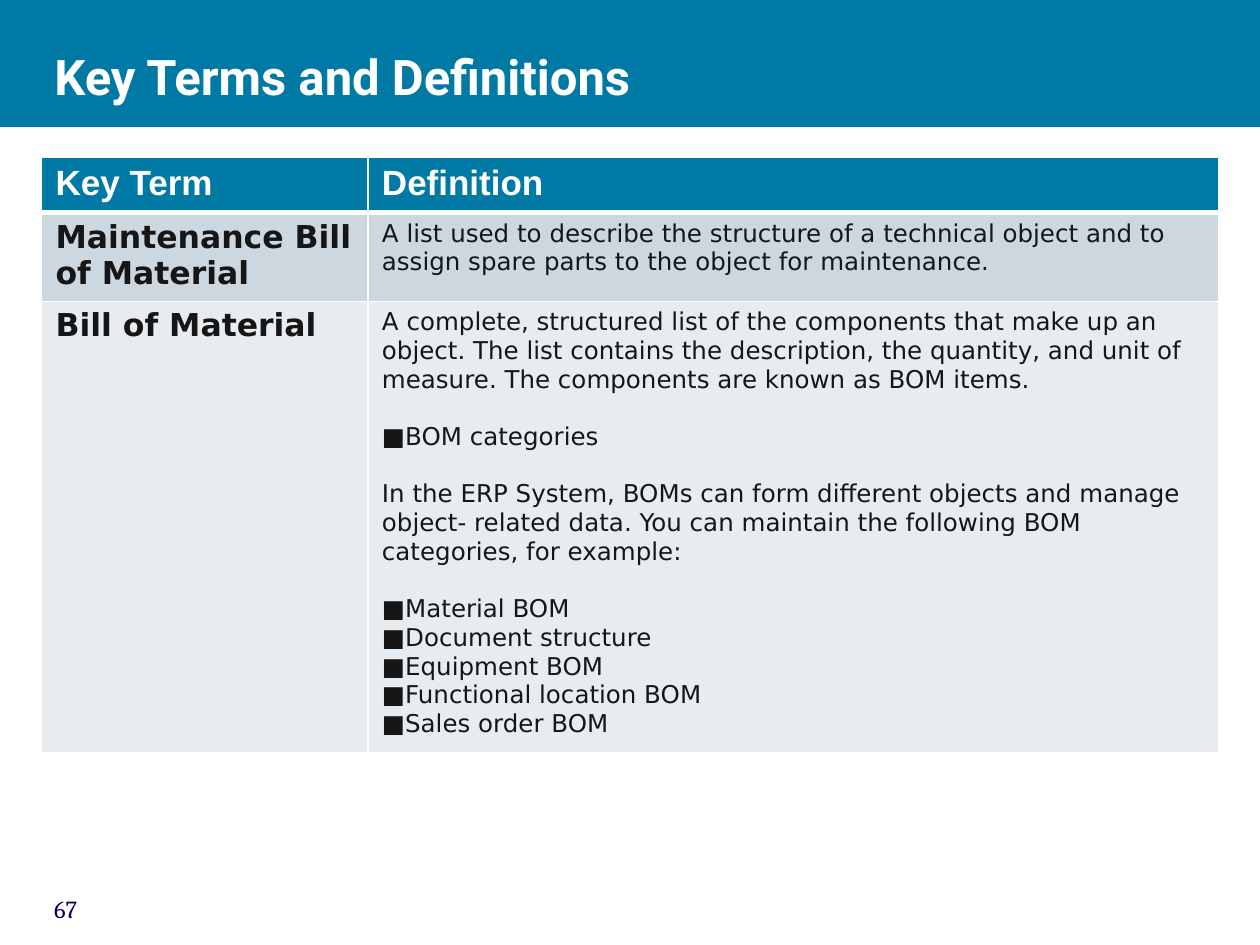
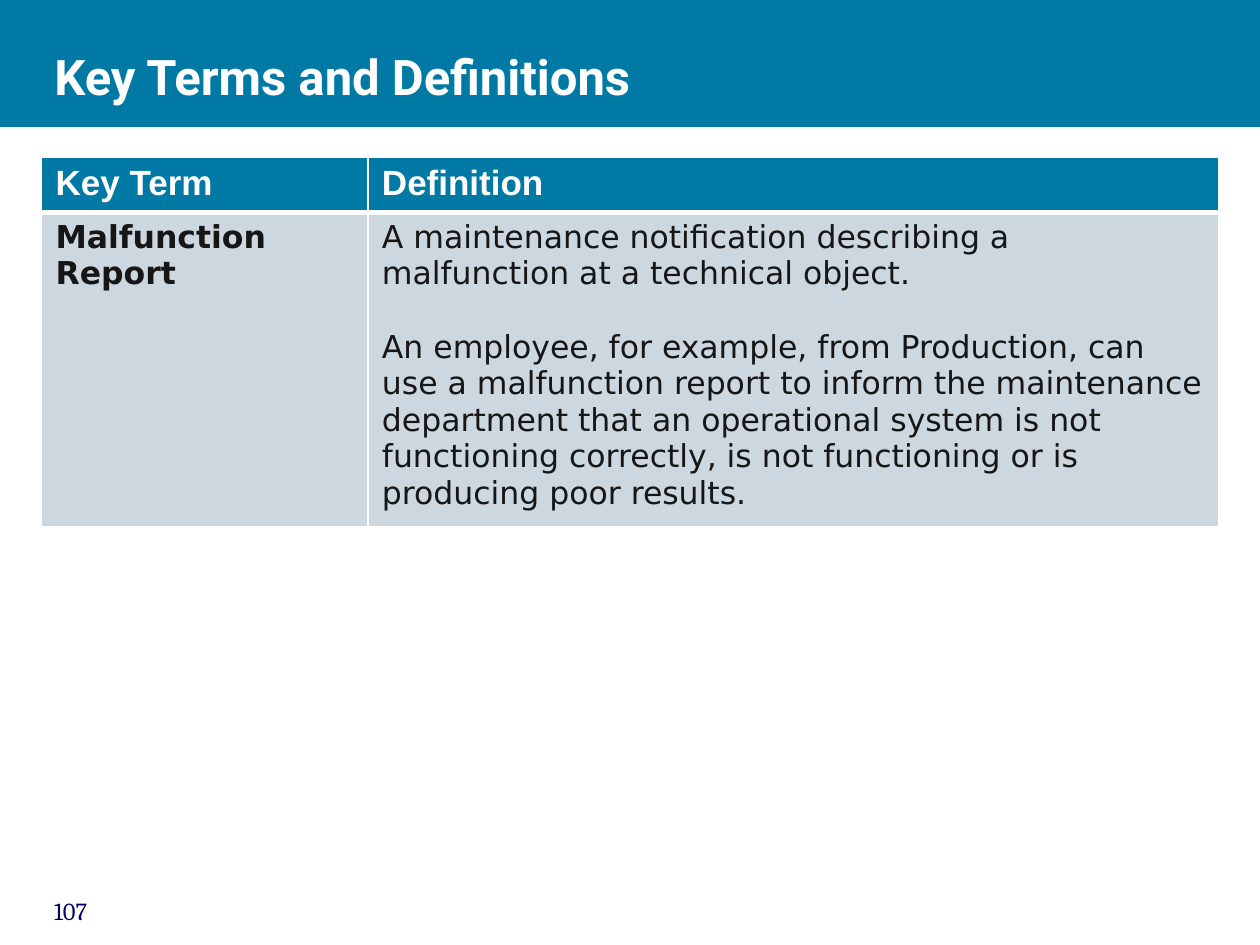
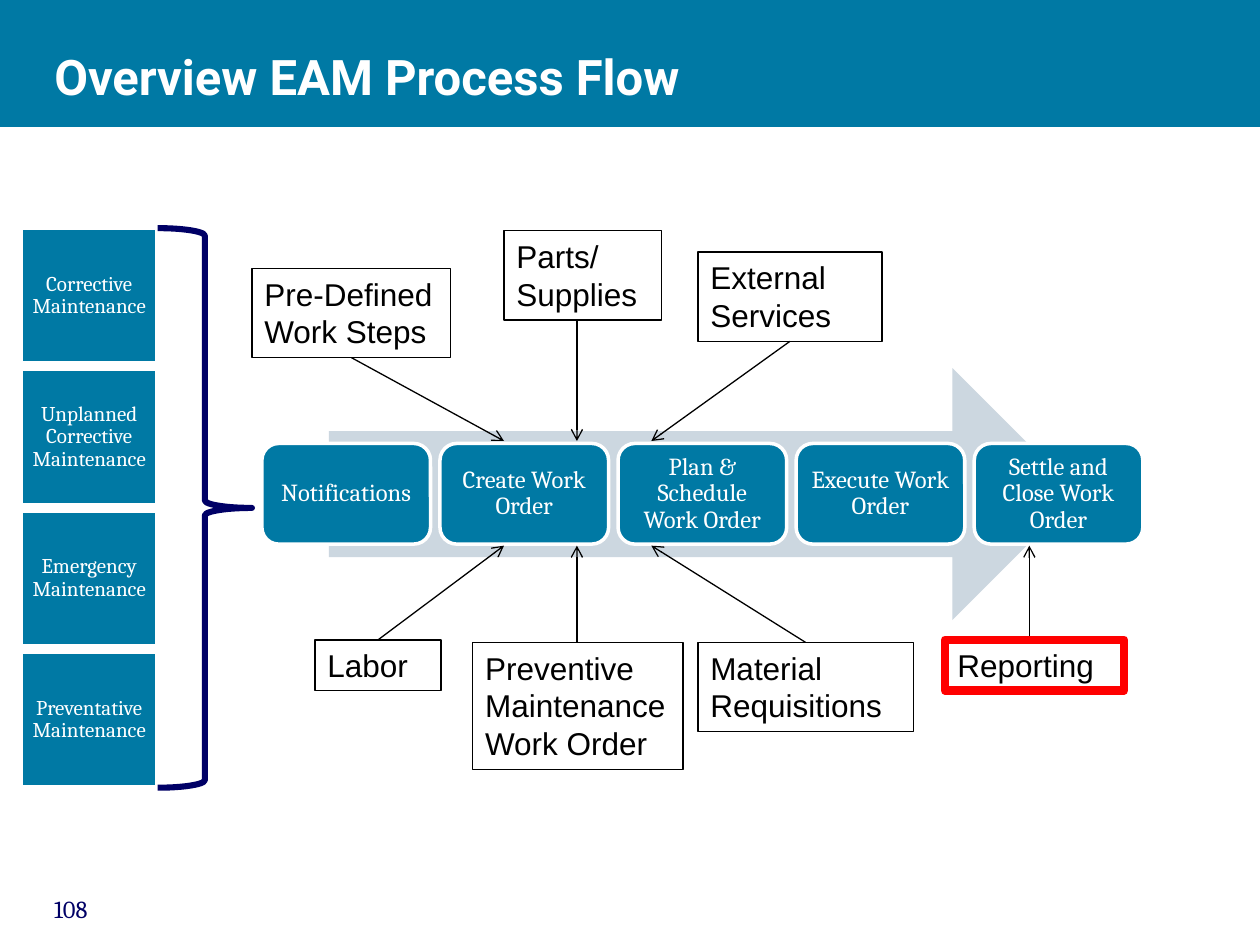
import dataclasses

import lxml.etree
import pptx
import pptx.dml.color
import pptx.enum.shapes
import pptx.enum.text
import pptx.oxml.ns
import pptx.util

Cm = pptx.util.Cm
Pt = pptx.util.Pt
qn = pptx.oxml.ns.qn
Kind = pptx.enum.shapes.MSO_SHAPE
Align = pptx.enum.text.PP_ALIGN
Anchor = pptx.enum.text.MSO_ANCHOR


@dataclasses.dataclass(frozen=True)
class Theme:
    blue: str = "0079A4"
    navy: str = "000066"
    white: str = "FFFFFF"
    black: str = "000000"
    red: str = "FF0000"
    ink: str = "161616"
    mist: str = "CCD7E0"
    pale: str = "E7ECF0"
    head: str = "Roboto"
    sans: str = "Arial"
    body: str = "DejaVu Sans"
    serif: str = "Cambria"
    title: int = 28
    label: int = 20
    large: int = 18
    text: int = 14
    small: int = 12


def rgb(code):
    return pptx.dml.color.RGBColor.from_string(code)


def style(para, face, size, color, bold=False):
    for run in para.runs:
        run.font.name = face
        run.font.size = Pt(size)
        run.font.color.rgb = rgb(color)
        run.font.bold = bold


def edge(cell, side, width, color):
    """Add one border; call before the cell fill is set."""
    line = lxml.etree.SubElement(cell._tc.get_or_add_tcPr(), qn("a:ln" + side), w=str(Pt(width)))
    fill = lxml.etree.SubElement(line, qn("a:solidFill"))
    lxml.etree.SubElement(fill, qn("a:srgbClr"), val=color)


class Deck:
    def __init__(self, theme):
        self.theme = theme
        self.file = pptx.Presentation()
        self.file.slide_width, self.file.slide_height = Cm(25.4), Cm(19.05)
        self.slide = None

    def page(self, title, number, top=17.3):
        """Start a slide with its band, title and page number."""
        t = self.theme
        self.slide = self.file.slides.add_slide(self.file.slide_layouts[5])
        band = self.shape(Kind.RECTANGLE, (0, 0, 25.4, 2.54), t.blue, t.blue, 0.75)
        self.slide.shapes.element.insert(2, band.element)

        head = self.slide.shapes.title
        head.left, head.top, head.width, head.height = map(Cm, (0.84, 0.64, 23.65, 1.78))
        frame = head.text_frame
        frame.text = title
        frame.auto_size = pptx.enum.text.MSO_AUTO_SIZE.NONE
        frame.vertical_anchor = Anchor.MIDDLE
        frame.paragraphs[0].alignment = Align.LEFT
        style(frame.paragraphs[0], t.head, t.title, t.white, True)

        foot = self.slide.shapes.add_textbox(*map(Cm, (0.84, top, 6.35, 1.5))).text_frame
        foot.word_wrap = True
        foot.margin_top, foot.margin_bottom = Cm(0.84), 0
        foot.text = str(number)
        style(foot.paragraphs[0], t.serif, t.text, t.navy)

    def shape(self, kind, place, fill=None, line=None, width=1):
        item = self.slide.shapes.add_shape(kind, *map(Cm, place))
        item.shadow.inherit = False
        if fill:
            item.fill.solid()
            item.fill.fore_color.rgb = rgb(fill)
        else:
            item.fill.background()
        if line:
            item.line.color.rgb = rgb(line)
            item.line.width = Pt(width)
        else:
            item.line.fill.background()
        return item

    def tile(self, kind, place, text, size, inset):
        t = self.theme
        frame = self.shape(kind, place, t.blue, t.white, 2).text_frame
        frame.word_wrap = True
        frame.vertical_anchor = Anchor.MIDDLE
        frame.margin_left = frame.margin_right = Cm(inset)
        frame.margin_top = frame.margin_bottom = Cm(inset)
        frame.text = text
        para = frame.paragraphs[0]
        para.alignment = Align.CENTER
        para.line_spacing = 0.9
        style(para, t.serif, size, t.white)

    def note(self, text, place, color, width):
        t = self.theme
        frame = self.shape(Kind.RECTANGLE, place, None, color, width).text_frame
        frame.word_wrap = True
        frame.vertical_anchor = Anchor.TOP
        frame.text = text
        frame.paragraphs[0].alignment = Align.LEFT
        style(frame.paragraphs[0], t.sans, t.large, t.black)

    def arrow(self, start, end):
        line = self.slide.shapes.add_connector(
            pptx.enum.shapes.MSO_CONNECTOR.STRAIGHT, *map(Cm, start + end))
        line.line.color.rgb = rgb(self.theme.black)
        line.line.width = Pt(0.75)
        lxml.etree.SubElement(line.line._get_or_add_ln(), qn("a:tailEnd"), type="arrow")
        lxml.etree.SubElement(line.element.spPr, qn("a:effectLst"))

    def cell(self, cell, blocks, fill, font, rims):
        """Fill a cell with blocks of lines, a line's gap between blocks."""
        cell.margin_left = cell.margin_right = Cm(0.28)
        cell.margin_top = cell.margin_bottom = Cm(0.13)
        for side, width in zip("LRTB", rims):
            edge(cell, side, width, self.theme.white)
        cell.fill.solid()
        cell.fill.fore_color.rgb = rgb(fill)
        frame = cell.text_frame
        frame.text = "\n".join(line for block in blocks for line in block)
        paras = iter(frame.paragraphs)
        for i, block in enumerate(blocks):
            for j in range(len(block)):
                para = next(paras)
                if i and not j:
                    para.space_before = Pt(round(1.164 * font[1], 1))
                style(para, *font)

    def terms(self, rows, size, heights):
        """Draw a table of key terms and their definitions."""
        t = self.theme
        heights = [1.03] + heights
        grid = self.slide.shapes.add_table(
            len(heights), 2, *map(Cm, (0.84, 3.18, 23.72, sum(heights)))).table
        for col, width in zip(grid.columns, (6.58, 17.14)):
            col.width = Cm(width)
        for row, height in zip(grid.rows, heights):
            row.height = Cm(height)
        for col, text in enumerate(("Key Term", "Definition")):
            self.cell(grid.cell(0, col), [[text]], t.blue,
                      (t.sans, t.label, t.white, True), (1, 1, 1, 3))
        for i, (term, blocks) in enumerate(rows, 1):
            fill = t.mist if i % 2 else t.pale
            rims = (1, 1, 3 if i == 1 else 1, 1)
            self.cell(grid.cell(i, 0), [[term]], fill, (t.body, t.large, t.ink, True), rims)
            self.cell(grid.cell(i, 1), blocks, fill, (t.body, size, t.ink), rims)


BOMS = [
    ("Maintenance Bill of Material", [[
        "A list used to describe the structure of a technical object and to assign "
        "spare parts to the object for maintenance."]]),
    ("Bill of Material", [
        ["A complete, structured list of the components that make up an object. The list "
         "contains the description, the quantity, and unit of measure. The components are "
         "known as BOM items."],
        ["■BOM categories"],
        ["In the ERP System, BOMs can form different objects and manage object- related "
         "data. You can maintain the following BOM categories, for example:"],
        ["■Material BOM", "■Document structure", "■Equipment BOM",
         "■Functional location BOM", "■Sales order BOM"]]),
]
FAULTS = [
    ("Malfunction Report", [
        ["A maintenance notification describing a malfunction at a technical object."],
        ["An employee, for example, from Production, can use a malfunction report to inform "
         "the maintenance department that an operational system is not functioning "
         "correctly, is not functioning or is producing poor results."]]),
]
STEPS = ["Notifications", "Create Work Order", "Plan & Schedule Work Order",
         "Execute Work Order", "Settle and Close Work Order"]
KINDS = ["Corrective Maintenance", "Unplanned Corrective Maintenance",
         "Emergency Maintenance", "Preventative Maintenance"]
# Text, place, and where its arrow meets the row of steps
NOTES = [
    ("Pre-Defined Work Steps", (5.08, 5.41, 4.01, 1.8), 10.16),
    ("Parts/ Supplies", (10.16, 4.65, 3.18, 1.8), 11.63),
    ("External Services", (14.07, 5.08, 3.71, 1.8), 13.13),
    ("Labor", (6.35, 12.9, 2.54, 1.02), 10.16),
    ("Preventive Maintenance Work Order", (9.53, 12.95, 4.24, 2.57), 11.63),
    ("Material Requisitions", (14.07, 12.95, 4.34, 1.8), 13.13),
    ("Reporting", (19.05, 12.9, 3.61, 1.02), 20.75),
]


def flow(deck):
    t = deck.theme
    deck.shape(Kind.RIGHT_ARROW, (6.63, 7.42, 15.11, 5.08), t.mist)
    for i, text in enumerate(STEPS):
        deck.tile(Kind.ROUNDED_RECTANGLE, (5.28 + 3.59 * i, 8.94, 3.4, 2.03), text, t.text, 0.15)
    for text, place, goal in NOTES:
        left, top, width, height = place
        mid = left + width / 2
        if abs(mid - goal) < 0.2:
            mid = goal
        if top < 8.94:
            deck.arrow((mid, top + height), (goal, 8.89))
        else:
            deck.arrow((mid, top), (goal, 11))
        rim = (t.red, 5) if text == "Reporting" else (t.black, 0.75)
        deck.note(text, place, *rim)
    for i, text in enumerate(KINDS):
        deck.tile(Kind.RECTANGLE, (0.43, 4.6 + 2.85 * i, 2.74, 2.72), text, t.small, 0.08)
    brace = deck.shape(Kind.RIGHT_BRACE, (3.18, 4.6, 1.9, 11.28), None, t.navy, 3.5)
    brace.adjustments[0], brace.adjustments[1] = 0.08, 0.5


def main():
    deck = Deck(Theme())
    deck.page("Key Terms and Definitions", 67)
    deck.terms(BOMS, deck.theme.text, [1.73, 8.93])
    deck.page("Key Terms and Definitions", 107, 17.35)
    deck.terms(FAULTS, deck.theme.large, [6.15])
    deck.page("Overview EAM Process Flow", 108)
    flow(deck)
    deck.file.save("out.pptx")


if __name__ == "__main__":
    main()
